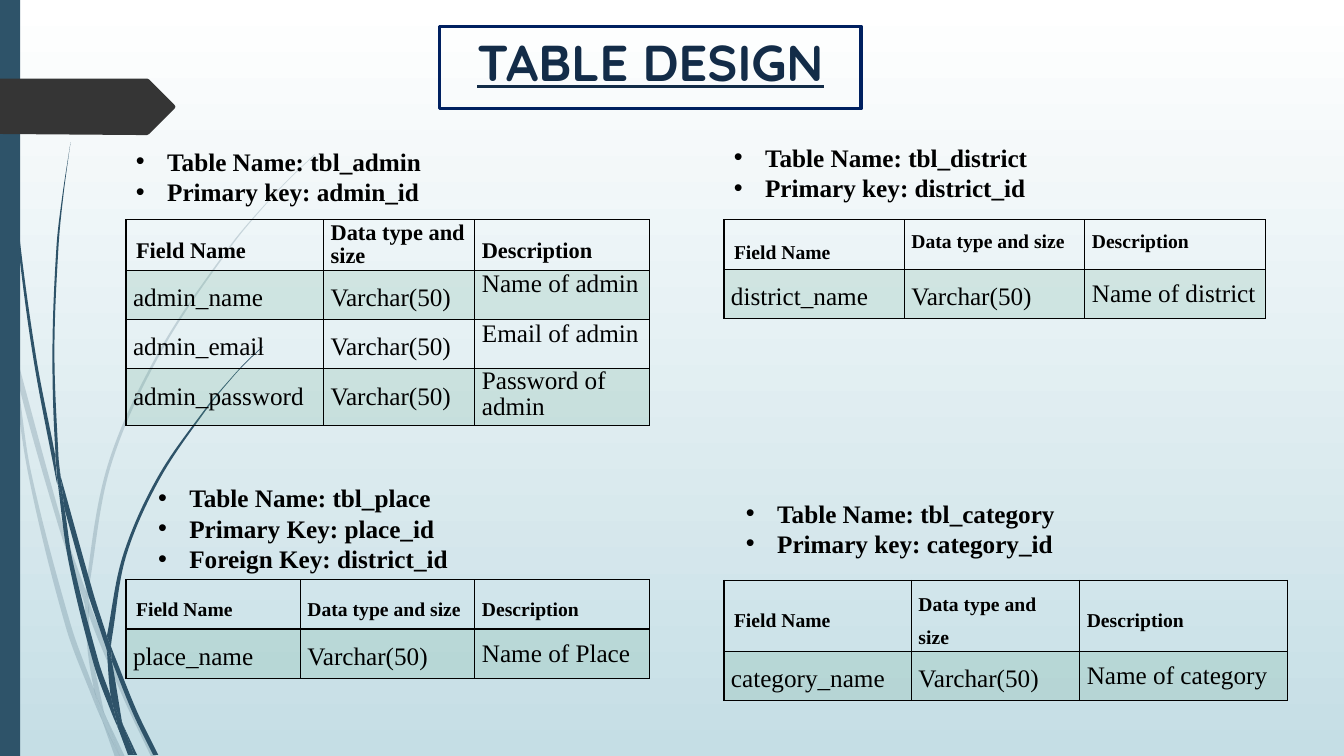
from math import dist

from lxml.etree import SubElement
from pptx import Presentation
from pptx.dml.color import RGBColor
from pptx.enum.shapes import MSO_SHAPE
from pptx.enum.text import MSO_ANCHOR, MSO_AUTO_SIZE, PP_ALIGN
from pptx.oxml.ns import qn
from pptx.util import Pt

SCALE = 9144
TEAL, GREEN, DARK, BLACK = "2E5369", "6AAC91", "353535", "000000"
TOP, MID, LOW = MSO_ANCHOR.TOP, MSO_ANCHOR.MIDDLE, MSO_ANCHOR.BOTTOM
SERIF = "Times New Roman"

PALE = [
    ([(11, 350), (9, 322), (0, 282)], [(0, 299), (10, 344)]),
    ([(14, 345), (17, 376), (58, 522), (84, 599)], [(85, 586), (62, 520), (14, 345)]),
    ([(88, 596), (88, 610), (123, 694), (150, 751)], [(155, 751), (127, 692), (92, 607)]),
    ([(119, 751), (124, 751)], [(105, 711), (119, 751)]),
    ([(93, 683), (70, 619), (31, 469), (17, 376), (11, 350)],
     [(11, 350), (28, 470), (65, 621), (92, 693), (101, 714), (99, 707)]),
    ([(84, 599), (87, 646), (93, 683), (96, 692), (105, 711)],
     [(103, 706), (91, 646), (88, 610), (88, 608)]),
    ([(88, 584), (110, 462), (160, 349), (229, 245), (268, 198), (290, 175), (312, 154)],
     [(312, 153), (289, 175), (268, 197), (228, 244), (158, 348), (107, 461),
      (85, 584), (88, 596)]),
    ([(101, 714), (114, 751)], [(119, 751), (101, 714)]),
    ([(88, 608), (88, 610), (88, 596)], [(85, 586), (84, 599)]),
    ([(96, 692), (93, 683), (99, 707), (101, 714), (119, 751)], [(105, 711), (96, 692)]),
]
BOLD = [
    ([(7, 110), (17, 233), (33, 355), (56, 477), (57, 481)],
     [(55, 457), (55, 453), (36, 355), (19, 232), (8, 109), (5, 48), (4, 0)],
     [(3, 0), (4, 48), (7, 110)]),
    ([(88, 592), (106, 645)], [(106, 633), (106, 631), (93, 590), (60, 472)],
     [(64, 505), (88, 592)]),
    ([(113, 649), (110, 641)], [(111, 656), (132, 708), (152, 749)],
     [(157, 749), (136, 706), (113, 649)]),
    ([(110, 691), (98, 657), (72, 556), (64, 505), (57, 477)],
     [(57, 477), (68, 557), (93, 659), (111, 708), (117, 722)], [(116, 717), (110, 691)]),
    ([(60, 472), (58, 453), (54, 349), (58, 245), (63, 193), (70, 141)],
     [(70, 141), (62, 193), (56, 245), (52, 349), (55, 449), (60, 472)]),
    ([(133, 749), (136, 749)], [(122, 719), (133, 749)]),
    ([(57, 477), (64, 505)], [(60, 472), (55, 449)], [(55, 453), (57, 477)]),
    ([(111, 633), (125, 552), (158, 476), (205, 406), (231, 374), (245, 359), (261, 344)],
     [(260, 344), (245, 358), (231, 373), (204, 405), (156, 474), (122, 551), (106, 631)],
     [(110, 641), (111, 633)]),
    ([(117, 722), (127, 749)], [(131, 749), (117, 722)]),
    ([(106, 645), (110, 691), (116, 706), (122, 719)],
     [(121, 716), (111, 656), (109, 651), (106, 645)]),
    ([(106, 645), (109, 651), (111, 656)], [(110, 641), (106, 631)], [(106, 633), (106, 645)]),
    ([(116, 706), (110, 691)], [(116, 717), (117, 722), (130, 749)],
     [(133, 749), (122, 719), (116, 706)]),
]
ARROW = [(173, 108), (148, 133), (146, 134), (136, 134), (0, 133), (0, 78),
         (136, 78), (146, 78), (148, 79), (173, 104), (174, 106)]

HEAD = ["Field Name", "Data type and size", "Description"]
TYPE = "Varchar(50)"
NOTES = [
    ((125, 140, 361, 71), ["Table Name: tbl_admin", "Primary key: admin_id"]),
    ((718, 136, 615, 71), ["Table Name: tbl_district", "Primary key: district_id"]),
    ((147, 474, 339, 101),
     ["Table Name: tbl_place", "Primary Key: place_id", "Foreign Key: district_id"]),
    ((730, 489, 358, 71), ["Table Name: tbl_category", "Primary key: category_id"]),
]
GRIDS = [
    dict(left=125, top=218, cols=[196, 150, 173], size=16, last=TOP,
         tight=("Data type and size", "Password of admin"),
         body=[("admin_name", "Name of admin"), ("admin_email", "Email of admin"),
               ("admin_password", "Password of admin")]),
    dict(left=125, top=575, cols=[173, 173, 173], body=[("place_name", "Name of Place")]),
    dict(left=718, top=576, cols=[186, 167, 206], pad=10,
         body=[("category_name", "Name of category")]),
    dict(left=718, top=218, cols=[179, 179, 179], heads=(LOW, TOP, TOP),
         body=[("district_name", "Name of district")]),
]


def px(num):
    """Turn px into EMU."""
    return round(num * SCALE)


def tint(code):
    """Turn a hex string into a colour."""
    return RGBColor.from_string(code)


def put(thing, **form):
    """Set each format value on a thing."""
    for key, value in form.items():
        setattr(thing, key, value)


def paint(fill, props, code, alpha=100):
    """Fill with one colour, see-through when alpha is under 100."""
    fill.solid()
    fill.fore_color.rgb = tint(code)
    if alpha < 100:
        color = props.find(qn("a:solidFill"))[0]
        SubElement(color, qn("a:alpha"), val=str(alpha * 1000))


def write(para, text, code, **form):
    """Add one run of text with its font."""
    run = para.add_run()
    run.text = text
    put(run.font, **form)
    run.font.color.rgb = tint(code)


def smooth(dots):
    """Return curve points, three for each step between dots."""
    ends = [dots[0], *dots, dots[-1]]
    slopes = []
    for old, dot, new in zip(ends, dots, ends[2:]):
        span = dist(old, dot) + dist(dot, new)
        slopes.append([(b - a) / span for a, b in zip(old, new)])
    curve = []
    for p, q, m, n in zip(dots, dots[1:], slopes, slopes[1:]):
        third = dist(p, q) / 3
        curve += [[a + s * third for a, s in zip(p, m)],
                  [b - s * third for b, s in zip(q, n)], q]
    return curve


def outline(slide, dots, code, alpha=100):
    """Draw a closed filled outline."""
    spots = [(px(x), px(y)) for x, y in dots]
    pen = slide.shapes.build_freeform(*spots[0], scale=1.0)
    pen.add_line_segments(spots[1:], close=True)
    shape = pen.convert_to_shape()
    shape.shadow.inherit = False
    shape.line.fill.background()
    paint(shape.fill, shape._element.spPr, code, alpha)
    return shape


def wisp(slide, sides, alpha):
    """Draw a closed blade with curved sides."""
    dots = [sides[0][0]]
    for side in sides:
        if dots[-1] != side[0]:
            dots += smooth([dots[-1], side[0]])
        dots += smooth(side)
    shape = outline(slide, dots, TEAL, alpha)
    lines = list(shape._element.iter(qn("a:lnTo")))
    for first, mid, last in zip(lines[::3], lines[1::3], lines[2::3]):
        curve = SubElement(first.getparent(), qn("a:cubicBezTo"))
        first.addprevious(curve)
        for line in (first, mid, last):
            curve.append(line[0])
            line.getparent().remove(line)


def box(slide, place):
    """Draw a plain rectangle."""
    shape = slide.shapes.add_shape(MSO_SHAPE.RECTANGLE, *map(px, place))
    shape.shadow.inherit = False
    return shape


def title(slide, text):
    """Draw the framed title."""
    shape = box(slide, (436, 26, 418, 82))
    shape.fill.background()
    shape.line.color.rgb = tint("002060")
    shape.line.width = Pt(2.25)
    put(shape.text_frame, word_wrap=True, vertical_anchor=TOP)
    para = shape.text_frame.paragraphs[0]
    para.alignment = PP_ALIGN.CENTER
    write(para, text, "132C48", name="Quicksand", size=Pt(36), bold=True, underline=True)


def note(slide, place, lines):
    """Draw a bulleted note."""
    frame = slide.shapes.add_textbox(*map(px, place)).text_frame
    put(frame, word_wrap=True, auto_size=MSO_AUTO_SIZE.SHAPE_TO_FIT_TEXT)
    for row, line in enumerate(lines):
        para = frame.add_paragraph() if row else frame.paragraphs[0]
        props = para._p.get_or_add_pPr()
        props.set("marL", str(px(31)))
        props.set("indent", str(-px(31)))
        SubElement(props, qn("a:buFont"), typeface="Arial")
        SubElement(props, qn("a:buChar"), char="•")
        write(para, line, BLACK, name=SERIF, size=Pt(18), bold=True)


def edge(props):
    """Add thin black borders to a cell."""
    for side in ("lnL", "lnR", "lnT", "lnB"):
        line = SubElement(props, qn(f"a:{side}"), w=str(Pt(1)))
        SubElement(SubElement(line, qn("a:solidFill")), qn("a:srgbClr"), val=BLACK)


def grid(slide, left, top, cols, body, size=14, tight=(), heads=(MID,) * 3, last=MID, pad=7):
    """Draw a field table with a head row and shaded odd rows."""
    rows = [HEAD, *([name, TYPE, about] for name, about in body)]
    place = map(px, (left, top, sum(cols), 49 * len(rows)))
    table = slide.shapes.add_table(len(rows), len(cols), *place).table
    put(table, first_row=False, horz_banding=False)
    for col, width in zip(table.columns, cols):
        col.width = px(width)
    for r, row in enumerate(rows):
        for c, text in enumerate(row):
            cell = table.cell(r, c)
            if r or c:
                put(cell, margin_left=px(7), margin_right=px(pad), margin_top=0, margin_bottom=0)
            cell.vertical_anchor = (TOP, TOP, last)[c] if r else heads[c]
            props = cell._tc.get_or_add_tcPr()
            edge(props)
            if r % 2:
                paint(cell.fill, props, GREEN, 20)
            else:
                cell.fill.background()
            para = cell.text_frame.paragraphs[0]
            para.line_spacing = 0.93 if text in tight else 1.0 if r and c == 2 else 1.5
            write(para, text, BLACK, name=SERIF, size=Pt(18 if r else size), bold=not r)


def main():
    """Build the slide and save it."""
    deck = Presentation()
    put(deck, slide_width=px(1333), slide_height=px(750))
    slide = deck.slides.add_slide(deck.slide_layouts[6])
    back = slide.background.fill
    back.gradient()
    back.gradient_angle = 270
    for stop, place, code in zip(back.gradient_stops, (0, 1), ("FFFFFF", "C5DEE5")):
        stop.position = place
        stop.color.rgb = tint(code)
    for wisps, alpha in ((PALE, 20), (BOLD, 100)):
        for sides in wisps:
            wisp(slide, sides, alpha)
    bar = box(slide, (0, 0, 20, 750))
    bar.line.fill.background()
    paint(bar.fill, bar._element.spPr, TEAL)
    outline(slide, ARROW, DARK)
    title(slide, "TABLE DESIGN")
    for place, lines in NOTES:
        note(slide, place, lines)
    for form in GRIDS:
        grid(slide, **form)
    deck.save("out.pptx")


if __name__ == "__main__":
    main()
